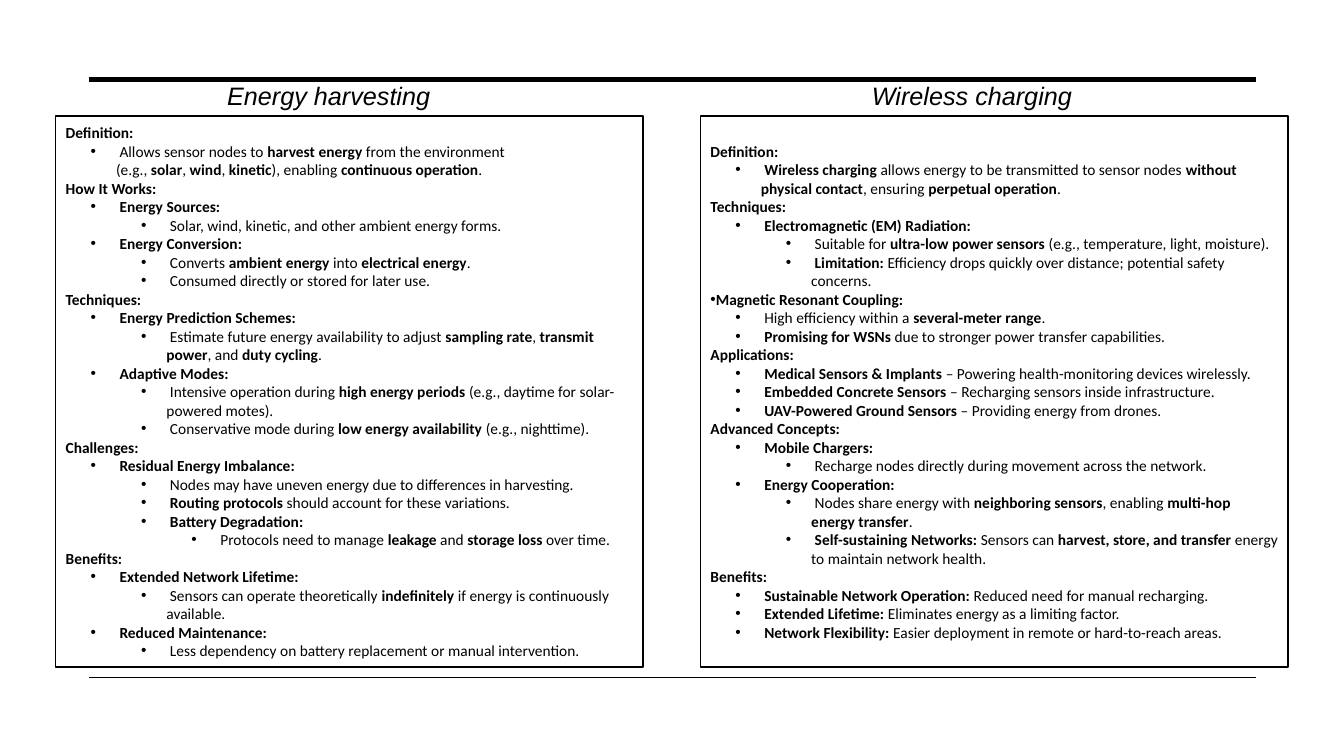
from typing import NamedTuple

from lxml import etree
from pptx import Presentation
from pptx.dml.color import RGBColor
from pptx.enum import shapes, text
from pptx.oxml import ns
from pptx.util import Cm, Pt

BLACK, WHITE = "000000", "FFFFFF"
NBSP = chr(160)
STEP, HANG = 1.27, 0.64  # list indent per level, hanging bullet


class Item(NamedTuple):
    level: int
    text: str  # **bold** parts
    bullet: bool = True


class Panel(NamedTuple):
    title: str
    left: float
    items: list[Item]


class Rule(NamedTuple):
    top: float
    width: float


def head(title: str) -> Item:
    return Item(0, f"**{title}**", False)


HARVEST = [
    head("Definition:"),
    Item(1, "Allows sensor nodes to **harvest energy** from the environment (e.g., "
            "**solar**, **wind**, **kinetic**), enabling **continuous operation**."),
    head("How It Works:"),
    Item(1, "**Energy Sources:**"),
    Item(2, "Solar, wind, kinetic, and other ambient energy forms."),
    Item(1, "**Energy Conversion:**"),
    Item(2, "Converts **ambient energy** into **electrical energy**."),
    Item(2, "Consumed directly or stored for later use."),
    head("Techniques:"),
    Item(1, "**Energy Prediction Schemes:**"),
    Item(2, "Estimate future energy availability to adjust **sampling rate**, "
            "**transmit power**, and **duty cycling**."),
    Item(1, "**Adaptive Modes:**"),
    Item(2, "Intensive operation during **high energy periods** "
            "(e.g., daytime for solar-powered motes)."),
    Item(2, "Conservative mode during **low energy availability** (e.g., nighttime)."),
    head("Challenges:"),
    Item(1, "**Residual Energy Imbalance:**"),
    Item(2, "Nodes may have uneven energy due to differences in harvesting."),
    Item(2, "**Routing protocols** should account for these variations."),
    Item(2, "**Battery Degradation:**"),
    Item(3, "Protocols need to manage **leakage** and **storage loss** over time."),
    head("Benefits:"),
    Item(1, "**Extended Network Lifetime:**"),
    Item(2, "Sensors can operate theoretically **indefinitely** "
            "if energy is continuously available."),
    Item(1, "**Reduced Maintenance:**"),
    Item(2, "Less dependency on battery replacement or manual intervention."),
]

CHARGE = [
    head("Definition:"),
    Item(1, "**Wireless charging** allows energy to be transmitted to sensor nodes "
            "**without physical contact**, ensuring **perpetual operation**."),
    head("Techniques:"),
    Item(1, "**Electromagnetic (EM) Radiation:**"),
    Item(2, "Suitable for **ultra-low power sensors** "
            "(e.g., temperature, light, moisture)."),
    Item(2, "**Limitation:** Efficiency drops quickly over distance; "
            "potential safety concerns."),
    Item(0, "**Magnetic Resonant Coupling:**"),
    Item(1, "High efficiency within a **several-meter range**."),
    Item(1, "**Promising for WSNs** due to stronger power transfer capabilities."),
    head("Applications:"),
    Item(1, "**Medical Sensors & Implants** – "
            "Powering health-monitoring devices wirelessly."),
    Item(1, "**Embedded Concrete Sensors** – Recharging sensors inside infrastructure."),
    Item(1, "**UAV-Powered Ground Sensors** – Providing energy from drones."),
    head("Advanced Concepts:"),
    Item(1, "**Mobile Chargers:**"),
    Item(2, "Recharge nodes directly during movement across the network."),
    Item(1, "**Energy Cooperation:**"),
    Item(2, "Nodes share energy with **neighboring sensors**, enabling "
            "**multi-hop energy transfer**."),
    Item(2, "**Self-sustaining Networks:** Sensors can "
            "**harvest, store, and transfer** energy to maintain network health."),
    head("Benefits:"),
    Item(1, "**Sustainable Network Operation:** Reduced need for manual recharging."),
    Item(1, "**Extended Lifetime:** Eliminates energy as a limiting factor."),
    Item(1, "**Network Flexibility:** "
            "Easier deployment in remote or hard-to-reach areas."),
]

PANELS = [Panel("Energy harvesting", 1.4, HARVEST),
          Panel("Wireless charging", 17.65, CHARGE)]
RULES = [Rule(2.01, 3.5), Rule(17.07, 1)]


def color(code: str) -> RGBColor:
    return RGBColor.from_string(code)


def place(shape, left: float, top: float, width: float, height: float) -> None:
    shape.left, shape.top = Cm(left), Cm(top)
    shape.width, shape.height = Cm(width), Cm(height)


def add_run(para, words: str, face: str, size: float,
            bold: bool = False, italic: bool = False) -> None:
    run = para.add_run()
    run.text = words
    font = run.font
    font.name, font.size, font.bold, font.italic = face, Pt(size), bold, italic
    font.color.rgb = color(BLACK)


def set_frame(shape, anchor):
    """Turn off text fitting, set the anchor and return the text frame."""
    frame = shape.text_frame
    frame.auto_size = text.MSO_AUTO_SIZE.NONE
    frame.word_wrap = True
    frame.vertical_anchor = anchor
    return frame


def set_list(para, item: Item) -> None:
    """Set level, indent, spacing and bullet of a paragraph."""
    para.level = item.level
    para.line_spacing = 1.0
    para.space_before = para.space_after = Pt(0)
    props = para._p.get_or_add_pPr()
    props.set("marL", str(Cm(item.level * STEP)))
    props.set("indent", str(-Cm(HANG) if item.level else 0))
    if item.bullet:
        etree.SubElement(props, ns.qn("a:buChar")).set("char", "•")
    else:
        etree.SubElement(props, ns.qn("a:buNone"))


def glue(part: str) -> str:
    """Make the spaces at both ends of a part non-breaking."""
    start = NBSP if part.startswith(" ") else ""
    end = NBSP if part.endswith(" ") else ""
    return start + part.strip() + end if part.strip() else NBSP


def add_item(para, item: Item) -> None:
    set_list(para, item)
    lead = " " if item.level else ""
    for index, part in enumerate((lead + item.text).split("**")):
        if part:
            add_run(para, glue(part), "Calibri", 11, bold=index % 2 == 1)


def draw_panel(title, body, panel: Panel) -> None:
    place(title, panel.left + 4.07, 1.9, 6.4, 1.02)
    frame = set_frame(title, text.MSO_ANCHOR.TOP)
    para = frame.paragraphs[0]
    para.space_before = Pt(0)
    add_run(para, panel.title, "Arial", 18, italic=True)

    place(body, panel.left, 2.92, 14.81, 13.89)
    body.fill.solid()
    body.fill.fore_color.rgb = color(WHITE)
    body.line.color.rgb = color(BLACK)
    body.line.width = Pt(1)
    frame = set_frame(body, text.MSO_ANCHOR.MIDDLE)
    for index, item in enumerate(panel.items):
        add_item(frame.add_paragraph() if index else frame.paragraphs[0], item)


def draw_rule(slide, rule: Rule) -> None:
    line = slide.shapes.add_connector(
        shapes.MSO_CONNECTOR.STRAIGHT,
        Cm(2.24), Cm(rule.top), Cm(31.65), Cm(rule.top))
    line.line.color.rgb = color(BLACK)
    line.line.width = Pt(rule.width)
    etree.SubElement(line._element.spPr, ns.qn("a:effectLst"))


def main() -> None:
    deck = Presentation()
    deck.slide_width, deck.slide_height = Cm(33.87), Cm(19.05)
    slide = deck.slides.add_slide(deck.slide_layouts.get_by_name("Comparison"))
    top, *slots = slide.placeholders
    top._element.getparent().remove(top._element)
    for rule in RULES:
        draw_rule(slide, rule)
    for title, body, panel in zip(slots[::2], slots[1::2], PANELS):
        draw_panel(title, body, panel)
    deck.save("out.pptx")


if __name__ == "__main__":
    main()
